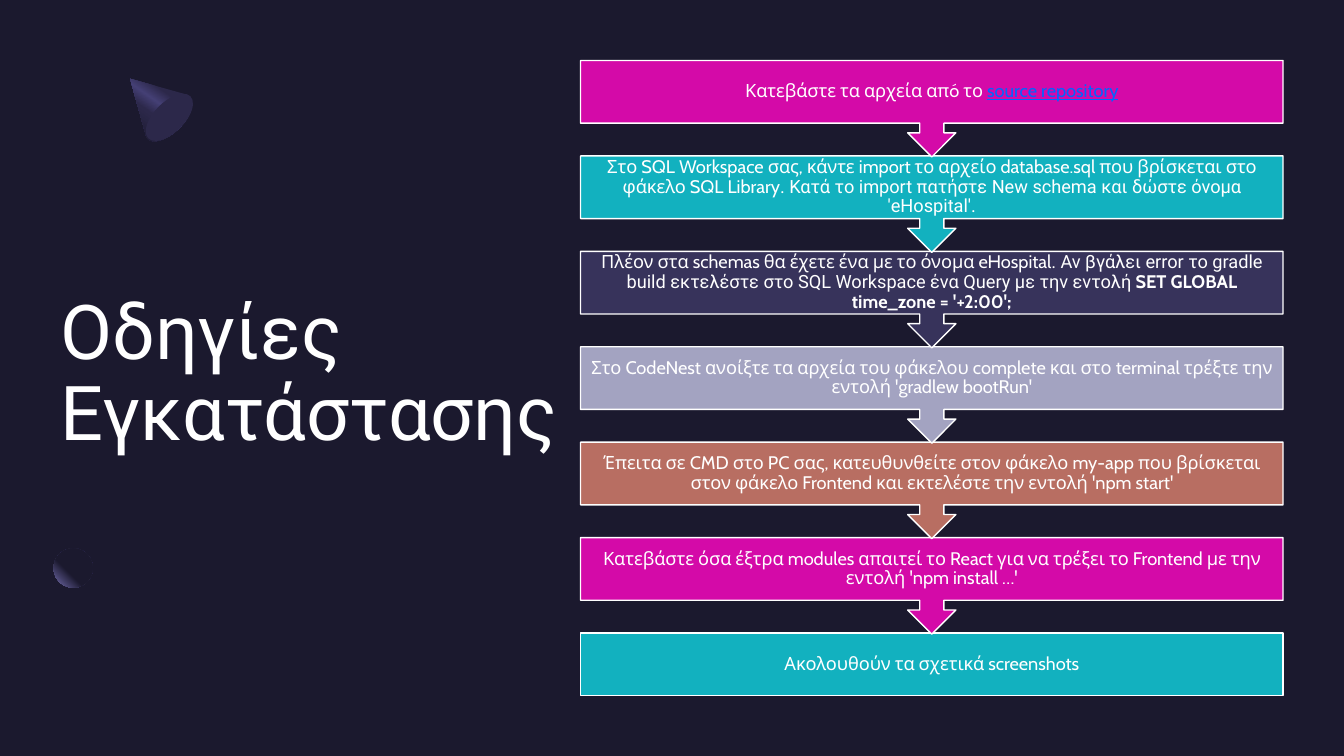
from pptx import Presentation
from pptx.dml.color import RGBColor
from pptx.enum.shapes import MSO_SHAPE as Shape
from pptx.enum.text import MSO_ANCHOR as Anchor, PP_ALIGN as Align
from pptx.oxml import parse_xml
from pptx.oxml.ns import nsdecls, qn
from pptx.util import Pt

COLORS = {
    "night": "1B192E",
    "white": "FFFFFF",
    "shade": "2C284A",
    "violet": "454075",
    "lilac": "7771B2",
    "magenta": "D40AA8",
    "teal": "12B1BF",
    "indigo": "37335B",
    "lavender": "A3A3C1",
    "clay": "B86E62",
    "link": "0066FF",
}
BODY_FONT, TITLE_FONT = "Cabin", "Roboto"

STEPS = [
    ("magenta", [("Κατεβάστε τα αρχεία απó το ", {}),
                 ("source repository", {"color": "link", "underline": True})]),
    ("teal", [("Στο SQL Workspace σας, κάντε import το αρχείο database.sql που "
               "βρίσκεται στο φάκελο SQL Library", {}),
              (". Κατά το import πατήστε New schema και δώστε όνομα 'eHospital'.",
               {"font": TITLE_FONT})]),
    ("indigo", [("Πλέον στα schemas θα έχετε ένα με το όνομα eHospital", {}),
                (". Αν βγάλει error το gradle build εκτελέστε στο SQL Workspace "
                 "ένα Query με την εντολή ", {"font": TITLE_FONT}),
                ("SET GLOBAL time_zone = '+2:00';", {"bold": True})]),
    ("lavender", [("Στο CodeNest ανοίξτε τα αρχεία του φάκελου complete και στο "
                   "terminal τρέξτε την εντολή 'gradlew bootRun'", {})]),
    ("clay", [("Έπειτα σε CMD στο PC σας, κατευθυνθείτε στον φάκελο my-app που "
               "βρίσκεται στον φάκελο Frontend και εκτελέστε την εντολή "
               "'npm start'", {})]),
    ("magenta", [("Κατεβάστε όσα έξτρα modules απαιτεί το React για να τρέξει το "
                  "Frontend με την εντολή 'npm install …'", {})]),
    ("teal", [("Ακολουθούν τα σχετικά screenshots", {})]),
]

CONE = [
    (92.9, 56.2), (133.9, 67.7),
    (134.6, 68.4, 135.4, 68.4, 135.4, 69.1),
    (139.7, 73.4, 136.1, 83.5, 128.2, 91.4),
    (119.5, 100.1, 109.4, 103, 105.8, 99.4),
    (105.1, 98.6, 104.4, 97.9, 104.4, 97.2),
]
RING = [
    (345.6, 447.1),
    (367.9, 445.7, 391, 455, 409, 473),
    (383.8, 499),
    (367.2, 482.4, 342.7, 481, 328.3, 495.4),
    (318.2, 505.4, 316.1, 522, 322.6, 537.1),
    (324, 540), (283.7, 540), (282.2, 535),
    (276.5, 509.8, 281.5, 483.8, 299.5, 466.6),
    (311.8, 453.6, 328.3, 447.1, 345.6, 447.1),
]


def rgb(name):
    return RGBColor.from_string(COLORS[name])


def outline_points(segments, pieces=12):
    points = [segments[0]]
    for segment in segments[1:]:
        if len(segment) == 2:
            points.append(segment)
            continue
        start, a, b, end = points[-1], segment[:2], segment[2:4], segment[4:]
        for i in range(1, pieces + 1):
            t = i / pieces
            u = 1 - t
            points.append(tuple(
                u**3 * p + 3 * u * u * t * q + 3 * u * t * t * r + t**3 * s
                for p, q, r, s in zip(start, a, b, end)))
    return points


class Deck:
    def __init__(self, width, height):
        self.prs = Presentation()
        self.prs.slide_width, self.prs.slide_height = Pt(width), Pt(height)
        self.slide = self.prs.slides.add_slide(self.prs.slide_layouts[6])
        backdrop = self.slide.background.fill
        backdrop.solid()
        backdrop.fore_color.rgb = rgb("night")

    def paint(self, shape, fill, line=None):
        shape.shadow.inherit = False
        shape.fill.solid()
        shape.fill.fore_color.rgb = rgb(fill)
        if line:
            shape.line.color.rgb = rgb(line)
            shape.line.width = Pt(1)
        else:
            shape.line.fill.background()
        return shape

    def preset(self, kind, box, fill, line=None):
        shape = self.slide.shapes.add_shape(kind, *map(Pt, box))
        return self.paint(shape, fill, line)

    def freeform(self, segments, fill):
        points = [(Pt(x), Pt(y)) for x, y in outline_points(segments)]
        builder = self.slide.shapes.build_freeform(*points[0], scale=1.0)
        builder.add_line_segments(points[1:], close=True)
        return self.paint(builder.convert_to_shape(), fill)

    def gradient(self, shape, stops, direction):
        marks = "".join(
            f'<a:gs pos="{place * 1000}"><a:srgbClr val="{COLORS[name]}"/></a:gs>'
            for place, name in stops)
        solid = shape.element.spPr.find(qn("a:solidFill"))
        solid.getparent().replace(solid, parse_xml(
            f'<a:gradFill {nsdecls("a")} rotWithShape="1">'
            f'<a:gsLst>{marks}</a:gsLst>{direction}</a:gradFill>'))

    def soften(self, shape, opacity, radius):
        properties = shape.element.spPr
        color = properties.find(qn("a:solidFill")).find(qn("a:srgbClr"))
        color.append(parse_xml(
            f'<a:alpha {nsdecls("a")} val="{opacity * 1000}"/>'))
        properties.find(qn("a:effectLst")).append(parse_xml(
            f'<a:softEdge {nsdecls("a")} rad="{Pt(radius)}"/>'))

    def fill_text(self, shape, runs, size, font, align, margin):
        frame = shape.text_frame
        frame.word_wrap = True
        frame.vertical_anchor = Anchor.MIDDLE
        frame.margin_left = frame.margin_right = Pt(margin)
        frame.margin_top = frame.margin_bottom = Pt(margin)
        paragraph = frame.paragraphs[0]
        paragraph.alignment = align
        paragraph.line_spacing = 0.9
        paragraph.font.size = Pt(size)
        uniform = len(runs) == 1
        if uniform:
            paragraph.font.name = font
            paragraph.font.color.rgb = rgb("white")
        for words, style in runs:
            run = paragraph.add_run()
            run.text = words
            if not uniform:
                run.font.name = style.get("font", font)
                run.font.color.rgb = rgb(style.get("color", "white"))
                run.font.bold = style.get("bold")
                run.font.underline = style.get("underline")

    def title(self, words, box):
        heading = self.slide.shapes.add_textbox(*map(Pt, box))
        self.fill_text(heading, [(words, {})], 54, TITLE_FONT, Align.LEFT, 0)

    def step(self, kind, box, fill, runs):
        callout = self.preset(kind, box, fill, "white")
        self.fill_text(callout, runs, 13, BODY_FONT, Align.CENTER, 7.2)


def main():
    deck = Deck(960, 540)
    deck.title("Οδηγίες Εγκατάστασης", (43.2, 119.5, 357.1, 297.4))

    cone = deck.freeform(CONE, "shade")
    deck.gradient(cone, [(30, "shade"), (45, "violet"), (60, "shade"),
                         (100, "night")], '<a:lin ang="7500000" scaled="0"/>')
    cone_base = deck.preset(Shape.OVAL, (110.2, 62.6, 21.6, 42.5), "shade")
    cone_base.rotation = 45

    sphere = deck.preset(Shape.OVAL, (38.2, 391.7, 28.1, 28.1), "night")
    deck.gradient(sphere, [(60, "night"), (100, "lilac")],
                  '<a:path path="circle">'
                  '<a:fillToRect l="100000" b="100000"/></a:path>')

    ring = deck.freeform(RING, "lilac")
    deck.soften(ring, opacity=40, radius=20)

    left, top, width, pitch = 414.7, 43.2, 501.8, 68.16
    last = len(STEPS) - 1
    for i, (fill, runs) in reversed(list(enumerate(STEPS))):
        kind, height = ((Shape.RECTANGLE, 44.8) if i == last
                        else (Shape.DOWN_ARROW_CALLOUT, 68.9))
        deck.step(kind, (left, top + i * pitch, width, height), fill, runs)

    deck.prs.save("out.pptx")


if __name__ == "__main__":
    main()
